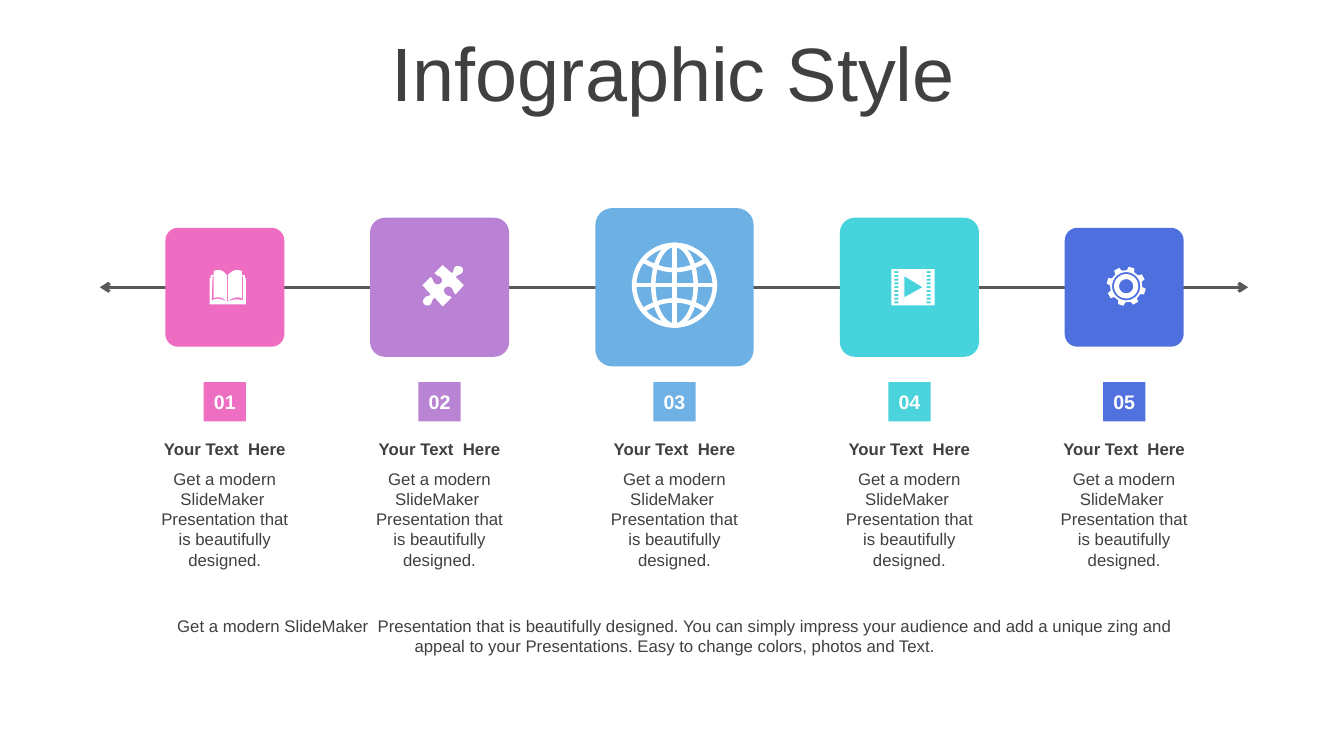
from math import cos, radians, sin

from lxml.etree import SubElement
from pptx import Presentation
from pptx.dml.color import RGBColor
from pptx.enum.shapes import MSO_CONNECTOR, MSO_SHAPE
from pptx.enum.text import MSO_ANCHOR, PP_ALIGN
from pptx.oxml.ns import qn
from pptx.util import Pt

PX = 9144
INK = RGBColor(0x40, 0x40, 0x40)
GREY = RGBColor(0x59, 0x59, 0x59)
WHITE = RGBColor(0xFF, 0xFF, 0xFF)
PINK = RGBColor(0xEE, 0x6C, 0xC1)
PURPLE = RGBColor(0xB9, 0x82, 0xD5)
BLUE = RGBColor(0x6D, 0xB0, 0xE4)
TEAL = RGBColor(0x47, 0xD3, 0xDC)
INDIGO = RGBColor(0x4E, 0x70, 0xDE)

HEAD = "Your Text  Here"
BODY = "Get a modern SlideMaker  Presentation that is beautifully designed."
NOTE = (BODY + " You can simply impress your audience and add a unique zing and "
        "appeal to your Presentations. Easy to change colors, photos and Text.")

PUZZLE = [
    (39, 2), (40, 3, 41, 6, 39, 8), (37, 10, 35, 9, 33, 12), (41, 20), (33, 29),
    (30, 27, 31, 24, 28, 22), (26, 21, 24, 21, 22, 23), (21, 24, 21, 27, 23, 29),
    (25, 31, 26, 30, 29, 32), (20, 41), (12, 32), (9, 35, 10, 36, 8, 39),
    (6, 41, 3, 40, 2, 39), (0, 37, 0, 35, 2, 33), (3, 30, 6, 32, 8, 29),
    (0, 20), (8, 12), (11, 14, 10, 16, 12, 18), (14, 20, 17, 19, 18, 18),
    (20, 17, 20, 14, 18, 12), (15, 10, 15, 11, 12, 8), (20, 0), (29, 8),
    (32, 6, 30, 5, 32, 2), (34, 0, 37, 1, 39, 2)]
BOOK = [
    (17, 31), (18, 31), (24, 29, 27, 28, 33, 30), (33, 6), (32, 6), (32, 28),
    (28, 26, 23, 27, 18, 31), (18, 5), (21, 2, 23, 0, 27, 0),
    (28, 0, 30, 0, 32, 1), (32, 5), (35, 5), (35, 8), (36, 8), (36, 34), (0, 34),
    (0, 8), (1, 8), (1, 5), (4, 5), (4, 1), (6, 0, 8, 0, 9, 0),
    (12, 0, 15, 2, 17, 5), (17, 31), (13, 27, 8, 26, 4, 28), (4, 6), (3, 6),
    (2, 30), (8, 27, 12, 29, 17, 31)]


def trace(steps):
    """Turn line and cubic steps into a list of points."""
    dots = []
    for step in steps:
        if len(step) == 2:
            dots.append(step)
            continue
        knots = [dots[-1], step[:2], step[2:4], step[4:]]
        for i in range(1, 7):
            t = i / 6
            mix = ((1 - t) ** 3, 3 * t * (1 - t) ** 2, 3 * t * t * (1 - t), t ** 3)
            dots.append(tuple(sum(m * k[n] for m, k in zip(mix, knots))
                              for n in (0, 1)))
    return dots


def ring(mid, wide, high):
    """Return the points of an ellipse around (mid, mid)."""
    return [(mid + wide * cos(radians(a)), mid + high * sin(radians(a)))
            for a in range(0, 360, 6)]


def block(x, y, w, h):
    """Return the corners of a rectangle."""
    return [(x, y), (x + w, y), (x + w, y + h), (x, y + h)]


def outline(slide, x, y, loops, closed=True):
    """Draw loops of px points as one white freeform at x, y."""
    loops = [[(px * PX, py * PX) for px, py in loop] for loop in loops]
    form = slide.shapes.build_freeform(*[round(n) for n in loops[0][0]], scale=1.0)
    for i, loop in enumerate(loops):
        if i:
            form.move_to(*loop[0])
        form.add_line_segments(loop[1:], close=closed)
    shape = form.convert_to_shape(x * PX, y * PX)
    shape.shadow.inherit = False
    if closed:
        shape.fill.solid()
        shape.fill.fore_color.rgb = WHITE
        shape.line.fill.background()
    else:
        shape.fill.background()
        shape.line.color.rgb = WHITE
        shape.line.width = Pt(3.25)


def book(slide, x, y):
    """Draw an open book around x, y."""
    outline(slide, x - 15, y - 17, [trace(BOOK)])


def puzzle(slide, x, y):
    """Draw a puzzle piece around x, y."""
    outline(slide, x - 17, y - 22, [trace(PUZZLE)])


def globe(slide, x, y):
    """Draw a globe of stroked lines around x, y."""
    circle, oval = ring(43, 40, 40), ring(43, 21, 40)
    loops = [circle + circle[:1], oval + oval[:1],
             [(43, 3), (43, 83)], [(3, 43), (83, 43)]]
    for side in (-1, 1):
        loops.append([(43 + n, 43 + side * (15 + n * n / 100))
                      for n in range(-30, 31, 5)])
    outline(slide, x - 43, y - 45, loops, False)


def film(slide, x, y):
    """Draw a film frame around x, y."""
    holes = [block(col, 2 + 3.75 * row, 4, 2) for row in range(9) for col in (3, 35)]
    play = [(13, 7), (13, 28), (31, 18)]
    outline(slide, x - 18, y - 18, [block(0, 0, 43, 36), play] + holes)


def gear(slide, x, y):
    """Draw a gear with eight teeth around x, y."""
    teeth = []
    for turn in range(16, 376, 45):
        for far, off in ((16, -13), (19.5, -8.5), (19.5, 8.5), (16, 13)):
            a = radians(turn + off)
            teeth.append((20 + far * sin(a), 20 - far * cos(a)))
    outline(slide, x - 18, y - 21, [teeth] + [ring(20, r, r) for r in (14, 12, 7)])


STEPS = [(223, 118, PINK, book), (436, 138, PURPLE, puzzle), (669, 157, BLUE, globe),
         (902, 138, TEAL, film), (1115, 118, INDIGO, gear)]


def write(frame, text, size, color=INK, bold=False):
    """Put one centred run into a text frame."""
    frame.word_wrap = True
    para = frame.paragraphs[0]
    para.alignment = PP_ALIGN.CENTER
    run = para.add_run()
    run.text = text
    font = run.font
    font.name, font.size, font.bold = "Arial", Pt(size), bold
    font.color.rgb = color
    return para


def label(slide, x, y, w, h, text, bold=False):
    """Add a text box."""
    box = slide.shapes.add_textbox(x * PX, y * PX, w * PX, h * PX)
    write(box.text_frame, text, 12, bold=bold)


def panel(slide, kind, x, y, w, h, color):
    """Add a plain filled shape."""
    shape = slide.shapes.add_shape(kind, round(x * PX), round(y * PX), w * PX, h * PX)
    shape.shadow.inherit = False
    shape.fill.solid()
    shape.fill.fore_color.rgb = color
    shape.line.fill.background()
    return shape


def title(slide, x, y, w, h):
    """Place and fill the title."""
    head = slide.shapes.title
    head.left, head.top, head.width, head.height = x * PX, y * PX, w * PX, h * PX
    head.text_frame.vertical_anchor = MSO_ANCHOR.MIDDLE
    write(head.text_frame, "Infographic Style", 54).line_spacing = 0.9


def axis(slide, x, y, w):
    """Draw the line with an arrowhead at both ends."""
    line = slide.shapes.add_connector(
        MSO_CONNECTOR.STRAIGHT, x * PX, y * PX, (x + w) * PX, y * PX)
    line.line.color.rgb = GREY
    line.line.width = Pt(2.25)
    for end in ("a:headEnd", "a:tailEnd"):
        SubElement(line.line._get_or_add_ln(), qn(end), type="arrow")
    SubElement(line._element.spPr, qn("a:effectLst"))


def column(slide, mid, y, num, size, color, icon):
    """Draw one step: tile, icon, number and texts."""
    tile = panel(slide, MSO_SHAPE.ROUNDED_RECTANGLE,
                 mid - size / 2, y - size / 2, size, size, color)
    tile.adjustments[0] = 0.107
    icon(slide, mid, y)
    badge = panel(slide, MSO_SHAPE.RECTANGLE, mid - 21, y + 94, 42, 39, color)
    tint = badge._element.spPr.find(".//" + qn("a:srgbClr"))
    SubElement(tint, qn("a:alpha"), val="98000")
    badge.text_frame.vertical_anchor = MSO_ANCHOR.MIDDLE
    write(badge.text_frame, f"{num:02}", 14, WHITE, True)
    label(slide, mid - 75, y + 145, 150, 30, HEAD, True)
    label(slide, mid - 75, y + 175, 150, 111, BODY)


def main():
    """Build and save the slide."""
    deck = Presentation()
    deck.slide_width, deck.slide_height = 1333 * PX, 750 * PX
    slide = deck.slides.add_slide(deck.slide_layouts[5])
    title(slide, 35, 37, 1266, 79)
    axis(slide, 99, 285, 1139)
    for num, (mid, size, color, icon) in enumerate(STEPS, 1):
        column(slide, mid, 285, num, size, color, icon)
    label(slide, 140, 606, 1059, 50, NOTE)
    deck.save("out.pptx")


if __name__ == "__main__":
    main()
